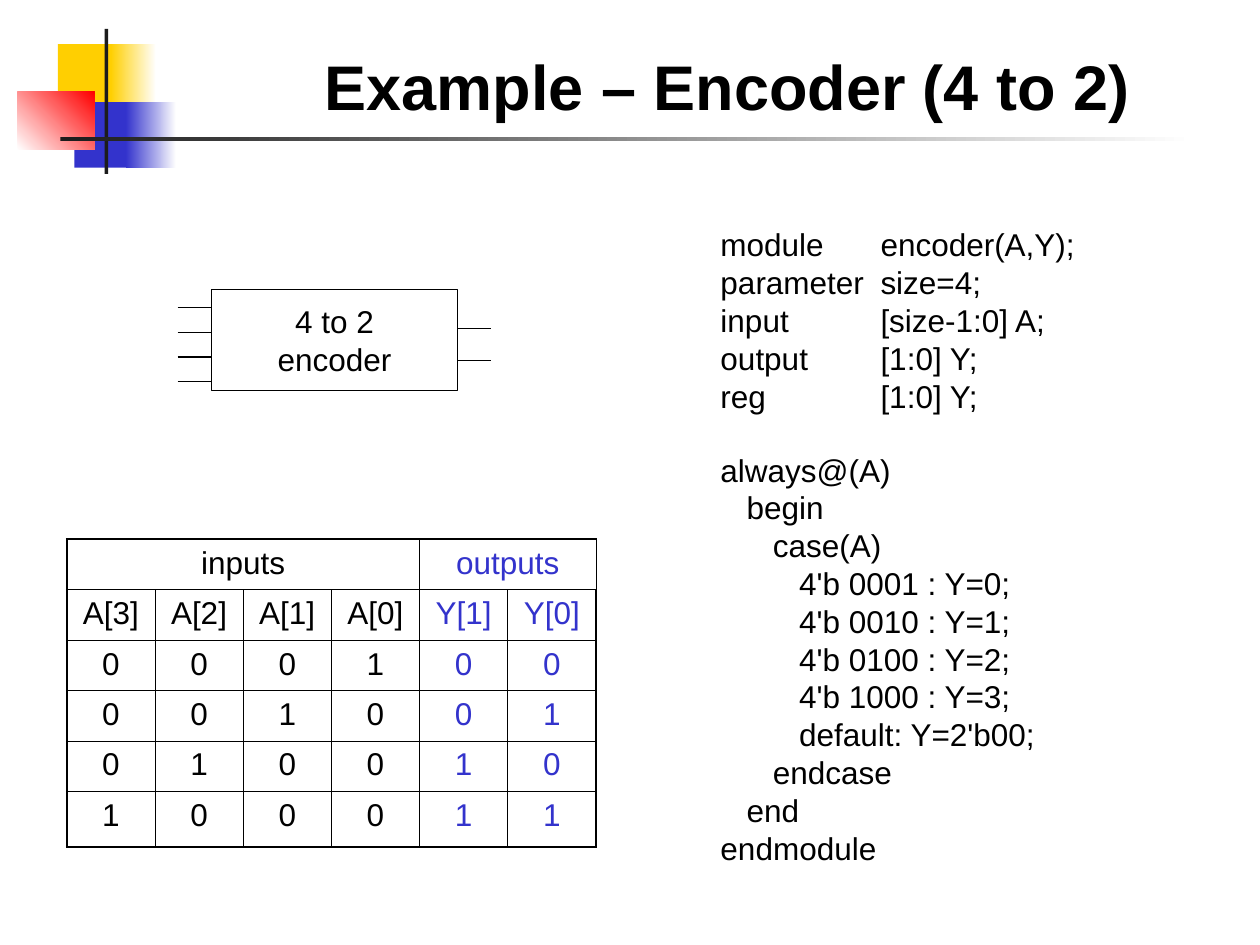
import pptx
import pptx.dml.color
import pptx.enum.shapes
import pptx.enum.text
import pptx.oxml
import pptx.util
from lxml import etree
from pptx.oxml.ns import qn

Inches, Pt = pptx.util.Inches, pptx.util.Pt
ALIGN = pptx.enum.text.PP_ALIGN
ANCHOR = pptx.enum.text.MSO_ANCHOR
RECTANGLE = pptx.enum.shapes.MSO_SHAPE.RECTANGLE
STRAIGHT = pptx.enum.shapes.MSO_CONNECTOR.STRAIGHT

BLACK, WHITE, BLUE = "000000", "FFFFFF", "3333CC"
YELLOW, RED, CHARCOAL = "FFCF01", "FF0000", "1C1C1C"

ORNAMENTS = [
    ((0.46, 0.35, 0.48, 0.52), (YELLOW,), 0),
    ((0.88, 0.35, 0.36, 0.52), (YELLOW, WHITE), 0),
    ((0.59, 0.81, 0.46, 0.52), (BLUE,), 0),
    ((1.0, 0.81, 0.4, 0.52), (BLUE, WHITE), 0),
    ((0.14, 0.73, 0.61, 0.46), (WHITE, RED), 45),
    ((0.83, 0.23, 0.03, 1.15), (CHARCOAL,), 0),
    ((0.48, 1.09, 9, 0.03), (CHARCOAL, WHITE), 0),
]

TITLE = "Example – Encoder (4 to 2)"
ENCODER_LABEL = ["4 to 2", "encoder"]
ENCODER_BOX = (1.68, 2.3, 1.95, 0.8)
PIN_LENGTH = 0.27
PINS = [
    (ENCODER_BOX[0] - PIN_LENGTH, 2.44, 3.03, 4),
    (ENCODER_BOX[0] + ENCODER_BOX[2], 2.61, 2.86, 2),
]

INPUT_COUNT = 4
TRUTH_TABLE = [
    ["inputs", "", "", "", "outputs", ""],
    ["A[3]", "A[2]", "A[1]", "A[0]", "Y[1]", "Y[0]"],
    ["0", "0", "0", "1", "0", "0"],
    ["0", "0", "1", "0", "0", "1"],
    ["0", "1", "0", "0", "1", "0"],
    ["1", "0", "0", "0", "1", "1"],
]
COLUMN_WIDTH = 0.7
ROW_HEIGHTS = [0.4] * 5 + [0.44]
OUTER_BORDER, INNER_BORDER = 1.08, 0.45

DECLARATIONS = [
    "module\tencoder(A,Y);",
    "parameter\tsize=4;",
    "input\t[size-1:0] A;",
    "output\t[1:0] Y;",
    "reg\t[1:0] Y;",
]
BEHAVIOUR = [
    "always@(A)",
    "   begin",
    "      case(A)",
    "         4'b 0001 : Y=0;",
    "         4'b 0010 : Y=1;",
    "         4'b 0100 : Y=2;",
    "         4'b 1000 : Y=3;",
    "         default: Y=2'b00;",
    "      endcase",
    "   end",
    "endmodule",
]
DECLARATION_TAB = 1.27
BLANK_LINE = 20.7


def rgb(value):
    return pptx.dml.color.RGBColor.from_string(value)


def add_box(slide, place):
    box = slide.shapes.add_shape(RECTANGLE, *map(Inches, place))
    box.shadow.inherit = False
    return box


def write(frame, lines, size=18, color=BLACK, bold=False, align=ALIGN.LEFT):
    for index, line in enumerate(lines):
        paragraph = frame.paragraphs[0] if index == 0 else frame.add_paragraph()
        paragraph.text = line
        paragraph.alignment = align
        font = paragraph.font
        font.name, font.size, font.bold = "Arial", Pt(size), bold
        font.color.rgb = rgb(color)


def add_ornament(slide, place, colors, angle):
    ornament = add_box(slide, place)
    ornament.line.fill.background()
    if len(colors) == 1:
        ornament.fill.solid()
        ornament.fill.fore_color.rgb = rgb(colors[0])
        return
    ornament.fill.gradient()
    ornament.fill.gradient_angle = angle
    for stop, color in zip(ornament.fill.gradient_stops, colors):
        stop.color.rgb = rgb(color)


def add_title(slide):
    title = slide.shapes.add_textbox(*map(Inches, (2.48, 0.33, 6.59, 0.7)))
    title.text_frame.word_wrap = False
    write(title.text_frame, [TITLE], size=36, bold=True)


def set_borders(cell, widths):
    properties = cell._tc.get_or_add_tcPr()
    for position, (side, width) in enumerate(widths.items()):
        border = etree.Element(qn(f"a:ln{side}"), w=str(Pt(width)))
        fill = etree.SubElement(border, qn("a:solidFill"))
        etree.SubElement(fill, qn("a:srgbClr"), val=BLACK)
        properties.insert(position, border)


def add_truth_table(slide):
    row_count, column_count = len(TRUTH_TABLE), len(TRUTH_TABLE[0])
    table = slide.shapes.add_table(
        row_count, column_count, Inches(0.53), Inches(4.28),
        Inches(COLUMN_WIDTH * column_count), Inches(sum(ROW_HEIGHTS))).table
    table.first_row = table.horz_banding = False
    for column in table.columns:
        column.width = Inches(COLUMN_WIDTH)
    for row, height in zip(table.rows, ROW_HEIGHTS):
        row.height = Inches(height)
    table.cell(0, 0).merge(table.cell(0, INPUT_COUNT - 1))
    table.cell(0, INPUT_COUNT).merge(table.cell(0, column_count - 1))
    for r, values in enumerate(TRUTH_TABLE):
        for c, value in enumerate(values):
            cell = table.cell(r, c)
            cell.fill.background()
            on_edge = {"L": c == 0, "R": c == column_count - 1,
                       "T": r == 0, "B": r == row_count - 1}
            set_borders(cell, {side: OUTER_BORDER if edge else INNER_BORDER
                               for side, edge in on_edge.items()})
            if value:
                color = BLACK if c < INPUT_COUNT else BLUE
                write(cell.text_frame, [value], color=color, align=ALIGN.CENTER)


def add_code(slide):
    code = slide.shapes.add_textbox(*map(Inches, (5.62, 1.74, 4, 5.2))).text_frame
    code.word_wrap = True
    write(code, DECLARATIONS + BEHAVIOUR)
    for paragraph in code.paragraphs[:len(DECLARATIONS)]:
        tabs = etree.Element(qn("a:tabLst"))
        etree.SubElement(tabs, qn("a:tab"), pos=str(Inches(DECLARATION_TAB)), algn="l")
        paragraph._p.get_or_add_pPr().insert(0, tabs)
    code.paragraphs[len(DECLARATIONS)].space_before = Pt(BLANK_LINE)


def add_encoder(slide):
    encoder = add_box(slide, ENCODER_BOX)
    encoder.fill.background()
    encoder.line.color.rgb = rgb(BLACK)
    encoder.line.width = Pt(0.75)
    encoder.text_frame.vertical_anchor = ANCHOR.MIDDLE
    write(encoder.text_frame, ENCODER_LABEL, align=ALIGN.CENTER)
    for left, first, last, count in PINS:
        for index in range(count):
            y = Inches(first + (last - first) * index / (count - 1))
            pin = slide.shapes.add_connector(
                STRAIGHT, Inches(left), y, Inches(left + PIN_LENGTH), y)
            pin.line.color.rgb = rgb(BLACK)
            pin.line.width = Pt(0.75)
            etree.SubElement(pin._element.spPr, qn("a:effectLst"))


def main():
    deck = pptx.Presentation()
    deck.slide_width, deck.slide_height = Inches(10), Inches(7.5)
    slide = deck.slides.add_slide(deck.slide_layouts[6])
    for ornament in ORNAMENTS:
        add_ornament(slide, *ornament)
    add_title(slide)
    add_truth_table(slide)
    add_code(slide)
    add_encoder(slide)
    deck.save("out.pptx")


if __name__ == "__main__":
    main()
